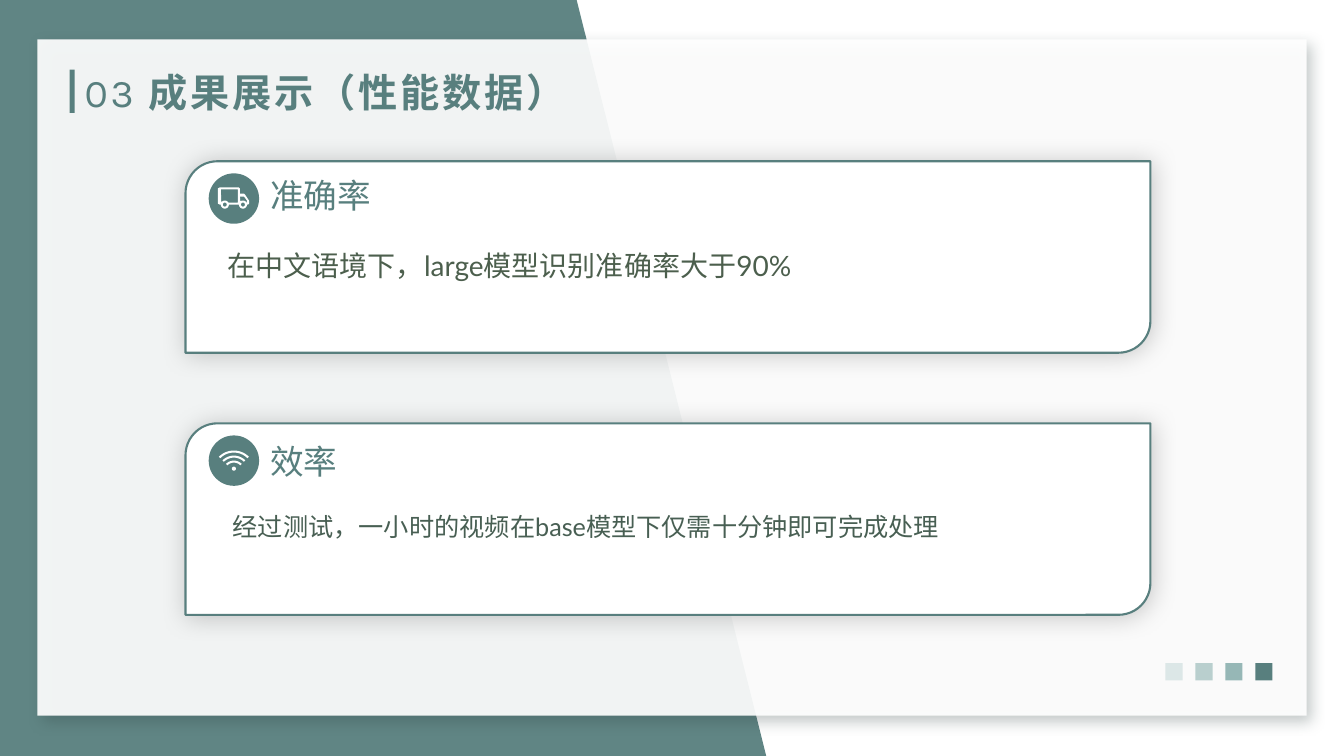
import math
from lxml import etree
from pptx import Presentation
from pptx import util as u
from pptx.dml.color import RGBColor
from pptx.enum import shapes, text
from pptx.oxml.ns import qn

TEAL = RGBColor(0x58, 0x7F, 0x7E)
TEAL_MID = RGBColor(0x96, 0xB7, 0xB6)
TEAL_SOFT = RGBColor(0xB9, 0xCF, 0xCE)
TEAL_PALE = RGBColor(0xDC, 0xE7, 0xE7)
WHITE = RGBColor(0xFF, 0xFF, 0xFF)
BLACK = RGBColor(0x00, 0x00, 0x00)
SHADE = RGBColor(0x2C, 0x40, 0x3F)
OLIVE = RGBColor(0x4C, 0x5F, 0x4D)
MOSS = RGBColor(0x48, 0x5F, 0x53)
SHAPE = shapes.MSO_SHAPE


def arc(cx, cy, radius, start, end, steps=16):
    angles = [math.radians(start + (end - start) * i / steps) for i in range(steps + 1)]
    return [(cx + radius * math.cos(a), cy + radius * math.sin(a)) for a in angles]


class SlideBuilder:
    heading = {"size": u.Pt(24), "name": "Karla"}
    title_font = {"size": u.Pt(28), "name": "Karla"}

    def __init__(self, slide):
        self.s = slide

    def box(self, *inches):
        return [u.Inches(v) for v in inches]

    def font(self, font, values, color):
        for key, value in values.items():
            setattr(font, key, value)
        font.color.rgb = color

    def paint(self, sp, fill, alpha=None, line=None, shadow=None):
        sp.shadow.inherit = False
        sp.fill.solid()
        sp.fill.fore_color.rgb = fill
        if alpha:
            clr = sp._element.spPr.find(qn("a:solidFill"))[0]
            etree.SubElement(clr, qn("a:alpha"), val=str(alpha * 1000))
        if line:
            sp.line.color.rgb = line
            sp.line.width = u.Pt(1.5)
        else:
            sp.line.fill.background()
        if shadow:
            color, opacity, blur, dist, angle = shadow
            effects = sp._element.spPr.find(qn("a:effectLst"))
            outer = etree.SubElement(effects, qn("a:outerShdw"), blurRad=str(u.Pt(blur)),
                                     dist=str(u.Pt(dist)), dir=str(angle * 60000),
                                     rotWithShape="0")
            clr = etree.SubElement(outer, qn("a:srgbClr"), val=str(color))
            etree.SubElement(clr, qn("a:alpha"), val=str(opacity * 1000))

    def shape(self, kind, at, fill, **style):
        sp = self.s.shapes.add_shape(kind, *self.box(*at))
        self.paint(sp, fill, **style)

    def outline(self, contours, fill, **style):
        contours = [[self.box(*pt) for pt in contour] for contour in contours]
        builder = self.s.shapes.build_freeform(*contours[0][0], scale=1.0)
        for i, contour in enumerate(contours):
            if i:
                builder.move_to(*contour[0])
            builder.add_line_segments(contour[1:], close=True)
        self.paint(builder.convert_to_shape(), fill, **style)

    def title(self, at, parts):
        sp = self.s.shapes.title
        self.s.shapes._spTree.append(sp._element)
        sp.left, sp.top, sp.width, sp.height = self.box(*at)
        tf = sp.text_frame
        tf.vertical_anchor = text.MSO_ANCHOR.MIDDLE
        tf.auto_size = text.MSO_AUTO_SIZE.NONE
        p = tf.paragraphs[0]
        p.alignment = text.PP_ALIGN.LEFT
        for words, bold in parts:
            r = p.add_run()
            r.text = words
            self.font(r.font, {**self.title_font, "bold": bold}, TEAL)
            r.font._element.set("spc", "200")

    def label(self, at, words, values, color, inset=True):
        tf = self.s.shapes.add_textbox(*self.box(*at)).text_frame
        tf.word_wrap = True
        if not inset:
            for side in ("left", "top", "right", "bottom"):
                setattr(tf, "margin_" + side, 0)
        r = tf.paragraphs[0].add_run()
        r.text = words
        self.font(r.font, values, color)

    def card(self, top, name, name_top):
        self.shape(SHAPE.ROUND_2_DIAG_RECTANGLE, (1.84, top, 9.57, 1.9), WHITE,
                   line=TEAL, shadow=(BLACK, 20, 18, 0, 0))
        self.label((2.68, name_top, 2.95, 0.4), name, self.heading, TEAL, inset=False)
        self.shape(SHAPE.OVAL, (2.07, top + 0.12, 0.5, 0.5), TEAL)

    def truck(self):
        rear, front = (2.23, 2.03), (2.41, 2.03)
        body = [(2.47, 1.99), (2.43, 1.93), (2.42, 1.92), (2.38, 1.92), (2.38, 1.87),
                (2.37, 1.86), (2.18, 1.86), (2.16, 1.87), (2.16, 2.02), (2.18, 2.03),
                *arc(*rear, 0.04, 180, 0), *arc(*front, 0.04, 180, 0),
                (2.46, 2.03), (2.47, 2.02)]
        cargo = [(2.19, 1.88), (2.36, 1.88), (2.36, 2.01), *arc(*rear, 0.04, -30, -150)]
        cab = [(2.38, 1.95), (2.42, 1.95), (2.45, 1.99), (2.45, 2.01),
               *arc(*front, 0.04, -30, -130)]
        hubs = [arc(*wheel, 0.02, 0, 360) for wheel in (rear, front)]
        self.outline([body, cargo, cab, *hubs], WHITE)

    def wifi(self):
        for radius in (0.11, 0.16, 0.21):
            band = (arc(2.32, 4.68, radius, -135, -45)
                    + arc(2.32, 4.68, radius - 0.02, -45, -135))
            dot = [arc(2.32, 4.65, 0.02, 0, 360)] if radius == 0.11 else []
            self.outline([band, *dot], WHITE)


def main():
    prs = Presentation()
    prs.slide_width, prs.slide_height = u.Inches(13.33), u.Inches(7.5)
    s = SlideBuilder(prs.slides.add_slide(prs.slide_layouts[5]))

    s.shape(SHAPE.RECTANGLE, (3.04, 0, 10.29, 7.5), WHITE, alpha=95)
    s.outline([[(0, 0), (5.72, 0), (7.6, 7.5), (0, 7.5)]], TEAL, alpha=95)
    s.shape(SHAPE.RECTANGLE, (0.37, 0.39, 12.59, 6.71), WHITE, alpha=92,
            shadow=(SHADE, 30, 10, 6, 45))
    for i, color in enumerate((TEAL_PALE, TEAL_SOFT, TEAL_MID, TEAL)):
        s.shape(SHAPE.RECTANGLE, (11.56 + 0.297 * i, 6.58, 0.17, 0.17), color)
    s.shape(SHAPE.RECTANGLE, (0.69, 0.69, 0.05, 0.43), TEAL)
    s.title((0.74, 0.62, 5.26, 0.58), [("03 ", False), ("成果展示（性能数据）", True)])

    s.card(1.6, "准确率", 1.74)
    s.truck()
    s.card(4.2, "效率", 4.37)
    s.wifi()
    s.label((2.16, 2.42, 7.8, 0.44), "在中文语境下，large模型识别准确率大于90%",
            {"size": u.Pt(20), "name": "Lato"}, OLIVE)
    s.label((2.21, 5.02, 9.02, 0.4), "经过测试，一小时的视频在base模型下仅需十分钟即可完成处理",
            {"size": u.Pt(18), "name": "Lato"}, MOSS)
    prs.save("out.pptx")


if __name__ == "__main__":
    main()
